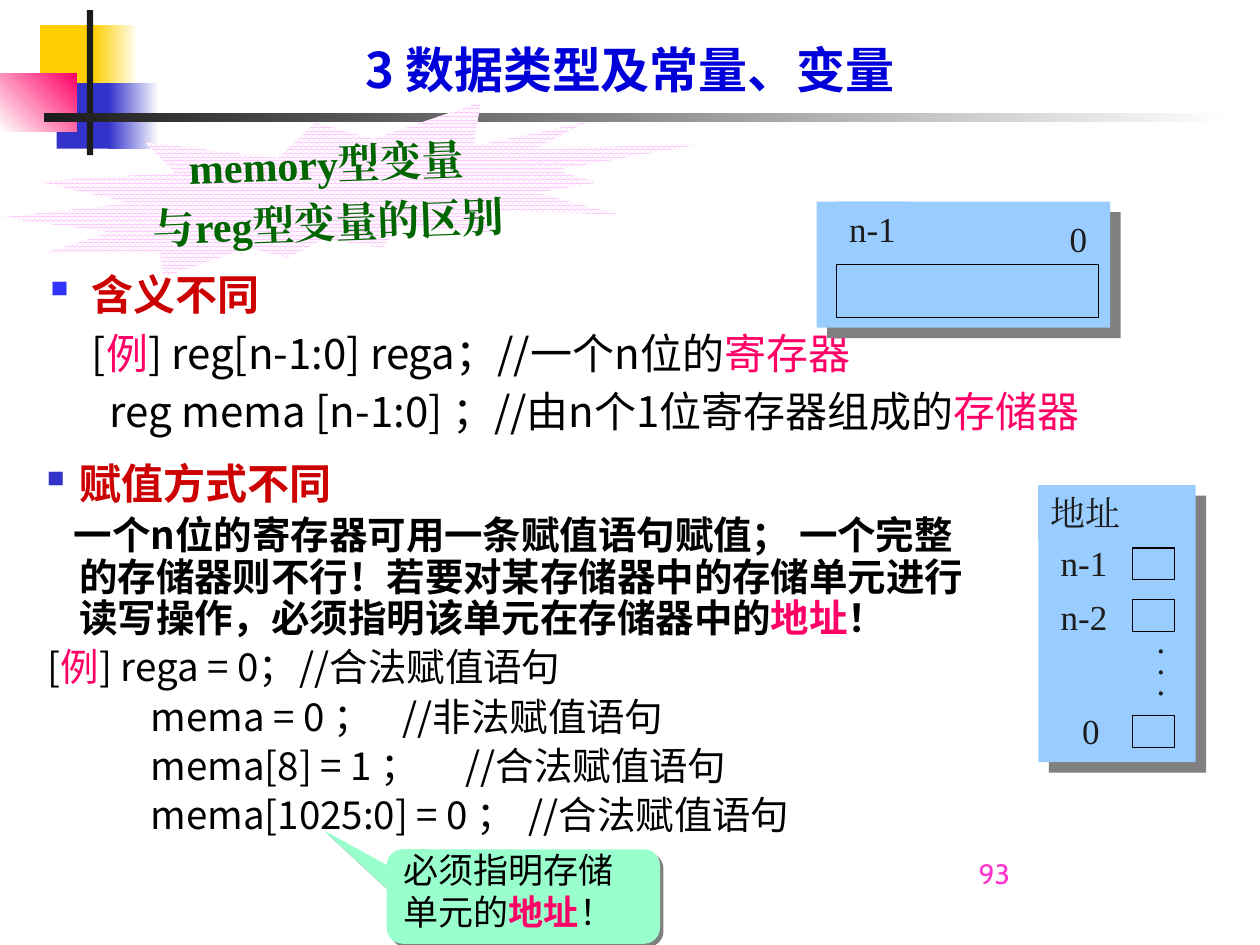
"""Build the slide comparing Verilog memory and reg variables."""
from lxml.etree import SubElement
from pptx import Presentation
from pptx.dml.color import RGBColor
from pptx.enum.dml import MSO_PATTERN
from pptx.enum.shapes import MSO_SHAPE
from pptx.enum.text import MSO_ANCHOR, PP_ALIGN
from pptx.oxml.ns import qn
from pptx.util import Pt

COLORS = {
    "gold": "FFCF01", "blue": "3333CC", "pink": "FF0066", "white": "FFFFFF",
    "ink": "1C1C1C", "black": "000000", "title": "0000D8", "red": "CC0000",
    "number": "FF33CC", "mint": "99FFCC", "sky": "99CCFF", "gray": "808080",
    "green": "006600", "blush": "FFCCFF", "bullet": "3333FF",
}
RGB = {name: RGBColor.from_string(value) for name, value in COLORS.items()}
SANS, SANS_SC, SERIF, CABIN = "Noto Sans CJK JP", "Noto Sans CJK SC", "Times New Roman", "Cabin"


def add_box(shapes, place, fill=None, line=None, shadow=0, kind=MSO_SHAPE.RECTANGLE):
    """Add a shape with a solid, gradient or empty fill."""
    shape = shapes.add_shape(kind, *[Pt(value) for value in place])
    shape.shadow.inherit = False
    if isinstance(fill, tuple):
        shape.fill.gradient()
        shape.fill.gradient_angle = fill[2]
        for stop, name in zip(shape.fill.gradient_stops, fill):
            stop.color.rgb = RGB[name]
    elif fill:
        shape.fill.solid()
        shape.fill.fore_color.rgb = RGB[fill]
    else:
        shape.fill.background()
    if line:
        shape.line.color.rgb = RGB[line]
        shape.line.width = Pt(0.75)
    else:
        shape.line.fill.background()
    if shadow:
        effects = shape._element.spPr.find(qn("a:effectLst"))
        outer = SubElement(effects, qn("a:outerShdw"), dist=str(Pt(shadow)), dir="2700000",
                           algn="ctr", rotWithShape="0")
        SubElement(outer, qn("a:srgbClr"), val=COLORS["gray"])
    return shape


def write(shape, paragraphs, size, font, anchor=MSO_ANCHOR.TOP, align=PP_ALIGN.LEFT,
          wrap=True, spacing=None, before=0):
    """Write (runs, left, indent, bullet colour, tab) paragraphs of (text, colour, bold) runs."""
    frame = shape.text_frame
    frame.word_wrap = wrap
    frame.vertical_anchor = anchor
    for index, (runs, left, indent, bullet, tab) in enumerate(paragraphs):
        paragraph = frame.add_paragraph() if index else frame.paragraphs[0]
        paragraph.alignment = align
        if spacing:
            paragraph.line_spacing = spacing
        if index:
            paragraph.space_before = Pt(before)
        properties = paragraph._p.get_or_add_pPr()
        properties.set("marL", str(Pt(left)))
        properties.set("indent", str(Pt(indent)))
        if bullet:
            color = SubElement(properties, qn("a:buClr"))
            SubElement(color, qn("a:srgbClr"), val=COLORS[bullet])
            SubElement(properties, qn("a:buChar"), char="▪")
        else:
            SubElement(properties, qn("a:buNone"))
        if tab:
            tabs = SubElement(properties, qn("a:tabLst"))
            SubElement(tabs, qn("a:tab"), pos=str(Pt(tab)), algn="l")
        for text, name, bold in runs:
            run = paragraph.add_run()
            run.text = text
            run.font.size = Pt(24 if bullet else size)
            run.font.bold = bold
            run.font.name = font
            run.font.color.rgb = RGB[name]
            SubElement(run._r.get_or_add_rPr(), qn("a:ea"), typeface=font)


presentation = Presentation()
presentation.slide_width, presentation.slide_height = Pt(720), Pt(540)
slide = presentation.slides.add_slide(presentation.slide_layouts[6])
shapes = slide.shapes

for place, fill in [
    ((23, 14.4, 34.6, 37.4), "gold"),
    ((53.3, 14.4, 25.9, 37.4), ("gold", "white", 0)),
    ((32.4, 47.5, 33.1, 37.4), "blue"),
    ((61.9, 47.5, 28.8, 37.4), ("blue", "white", 0)),
    ((0, 41.8, 43.9, 33.1), ("white", "pink", 45)),
    ((49.7, 5.8, 3.6, 82.8), "ink"),
    ((25.2, 64.8, 679, 5), ("ink", "white", 0)),
]:
    add_box(shapes, place, fill)

number = shapes.add_textbox(Pt(552.2), Pt(486), Pt(149.8), Pt(36))
write(number, [([("93", "number", False)], 0, 0, None, None)], 16, CABIN)

title = shapes.add_textbox(Pt(54), Pt(6.5), Pt(612), Pt(53.3))
write(title, [([("3 数据类型及常量、变量", "title", True)], 0, 0, None, None)], 28, SANS_SC,
      MSO_ANCHOR.BOTTOM, PP_ALIGN.CENTER)

meaning = shapes.add_textbox(Pt(18), Pt(149.8), Pt(702), Pt(115.2))
write(meaning, [
    ([("含义不同", "red", True)], 27.4, -27.4, "bullet", None),
    ([("[", "black", False), ("例", "pink", False),
      ("] reg[n-1:0] rega；//一个n位的", "black", False), ("寄存器", "pink", False)],
     27.4, 0, None, None),
    ([("reg mema [n-1:0] ；//由n个1位寄存器组成的", "black", False),
      ("存储器", "pink", False)], 37.7, 0, None, None),
], 24, SANS, before=4.8)

callout = add_box(shapes, (221, 485.3, 156.2, 54), "mint", shadow=2.8,
                  kind=MSO_SHAPE.ROUNDED_RECTANGULAR_CALLOUT)
for index, value in enumerate((-0.73, -0.7, 0.17)):
    callout.adjustments[index] = value
write(callout, [([("必须指明存储单元的", "black", False), ("地址", "pink", True),
                  ("！", "black", False)], 0, 0, None, None)], 20, CABIN, MSO_ANCHOR.BOTTOM)

register = shapes.add_group_shape().shapes
memory = shapes.add_group_shape().shapes
add_box(register, (466.6, 115.2, 167.8, 72), "sky", shadow=8.5)
add_box(memory, (593.3, 277.2, 90, 158.4), "sky", shadow=8.5)
for group, text, place in [
    (register, "0", (604.1, 121, 23.8, 31)),
    (register, "n-1", (478.1, 115.2, 41.8, 31)),
    (memory, "0", (611.3, 401.8, 23.8, 31)),
    (memory, "n-1", (599, 306, 41.8, 31)),
    (memory, "n-2", (599, 337, 41.8, 31)),
    (memory, "地址", (593.3, 277.2, 59.8, 31)),
]:
    label = add_box(group, place, "sky")
    write(label, [([(text, "ink", False)], 0, 0, None, None)], 20, SERIF)
dots = add_box(memory, (653, 365.8, 18, 43.2), "sky")
write(dots, [([("·", "ink", False)], 0, 0, None, None)] * 3, 20, SERIF, spacing=0.5)
add_box(register, (478.1, 151.2, 149.8, 30.2), line="black")
for top in (313.2, 342.7, 409):
    add_box(memory, (647.3, top, 23.8, 18), line="black")

examples = [("mema = 0 ；", 285), ("mema[8] = 1 ；", 287), ("mema[1025:0] = 0 ；", 297)]
assignment = shapes.add_textbox(Pt(0), Pt(185.8), Pt(565.9), Pt(296.6))
write(assignment, [
    ([("赋值方式不同", "red", True)], 38.2, -22.3, "blue", None),
    ([("一个n位的寄存器可用一条赋值语句赋值； 一个完整的存储器则不行！若要对某存储器中的"
       "存储单元进行读写操作，必须指明该单元在存储器中的", "black", True),
      ("地址", "pink", True), ("！", "black", True)], 38.2, -3, None, None),
    ([("[", "black", False), ("例", "pink", False),
      ("] rega = 0；\t//合法赋值语句", "black", False)], 20.2, 0, None, 271.7),
] + [
    ([(f"{code}\t//{verdict}赋值语句", "black", False)], 79.1, 0, None, tab)
    for (code, tab), verdict in zip(examples, ("非法", "合法", "合法"))
], 22, SANS, MSO_ANCHOR.BOTTOM, spacing=0.9, before=4.4)

seal = add_box(shapes, (0, 61.2, 403.9, 92.9), kind=MSO_SHAPE.EXPLOSION2)
seal.rotation = 357.8
seal.fill.patterned()
seal.fill.pattern = MSO_PATTERN.PERCENT_80
seal.fill.fore_color.rgb = RGB["blush"]
seal.fill.back_color.rgb = RGB["white"]
write(seal, [([(text, "green", True)], 0, 0, None, None)
             for text in ("memory型变量", "与reg型变量的区别")],
      24, SERIF, MSO_ANCHOR.MIDDLE, PP_ALIGN.CENTER, wrap=False, before=4.8)

presentation.save("out.pptx")
